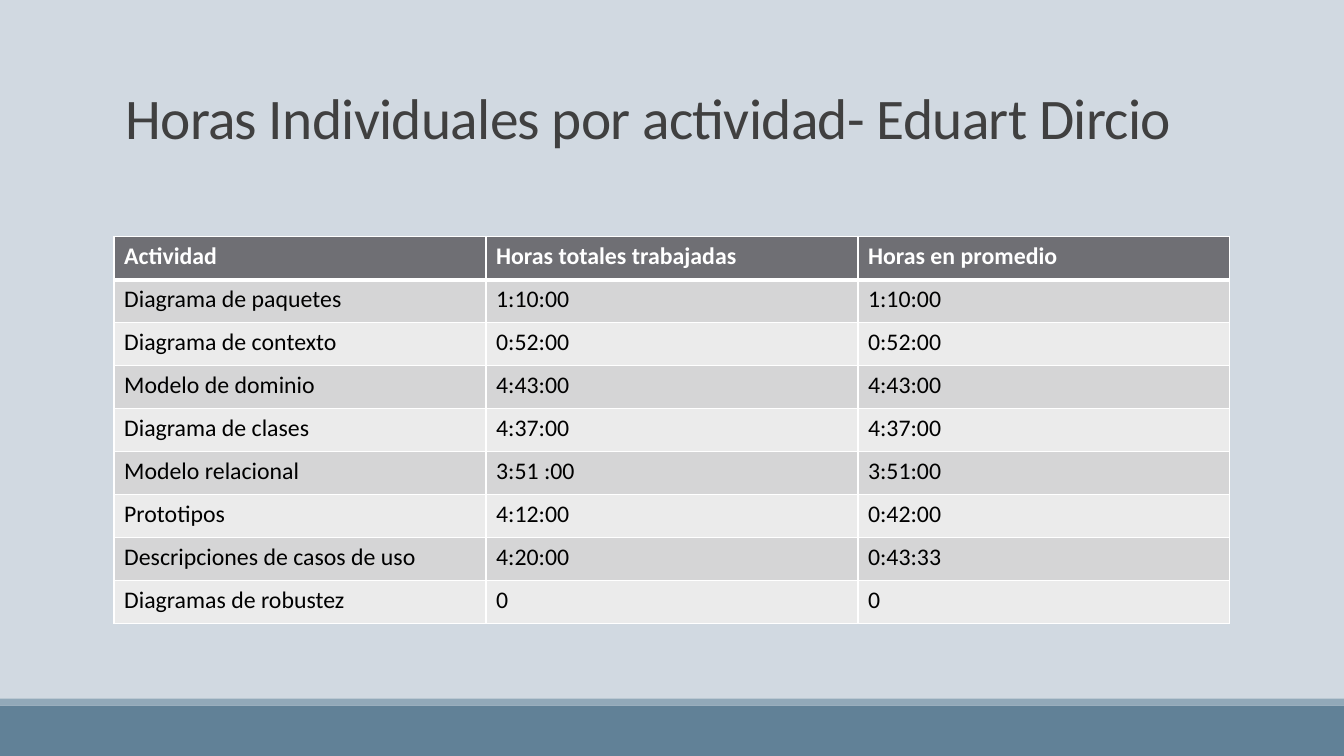
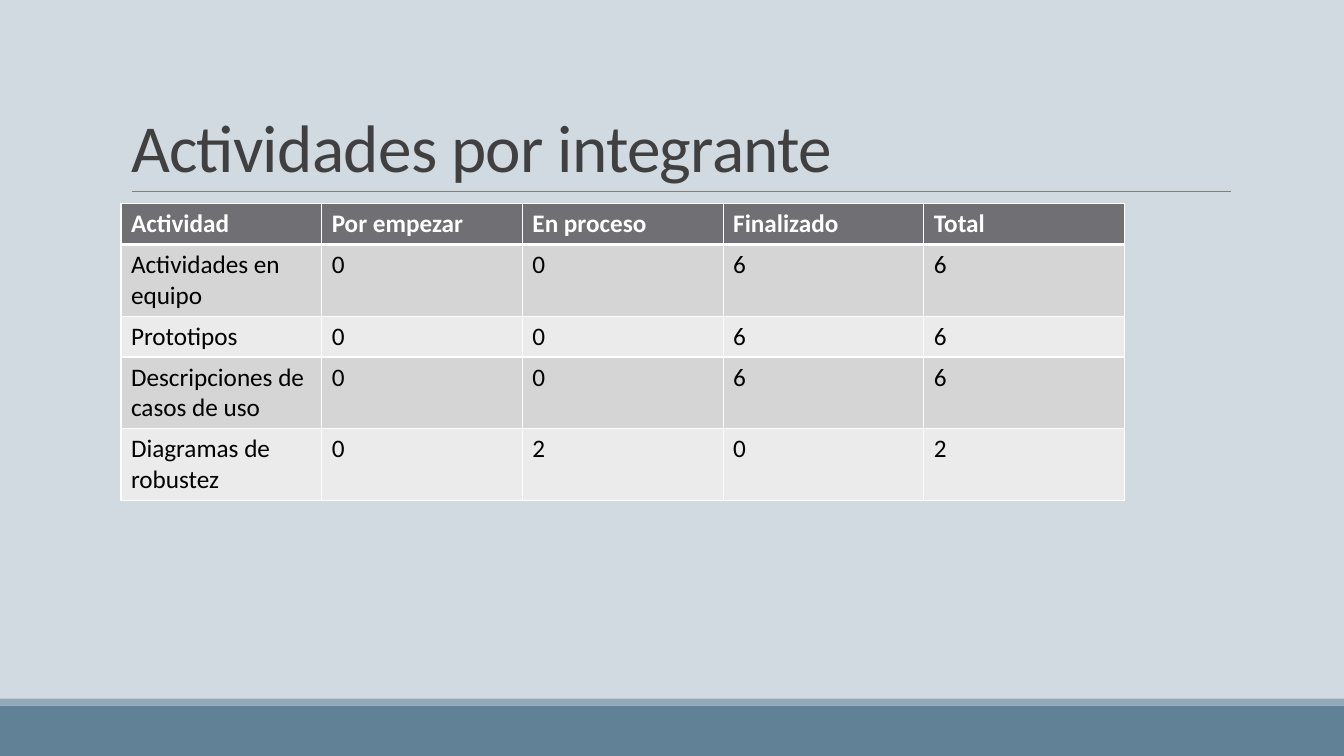
from lxml import etree
from pptx import Presentation
from pptx.dml.color import RGBColor
from pptx.enum.shapes import MSO_CONNECTOR as Connector, MSO_SHAPE as Shape
from pptx.enum.text import MSO_ANCHOR as Anchor, MSO_AUTO_SIZE as AutoSize, PP_ALIGN as Align
from pptx.oxml.ns import qn
from pptx.util import Pt

COLORS = {
    "background": "D1D9E1",
    "footer": "618197",
    "stripe": "92A9B9",
    "title": "404040",
    "rule": "808080",
    "header": "6F6F74",
    "odd": "D5D5D6",
    "even": "EBEBEB",
    "white": "FFFFFF",
    "black": "000000",
}
FONT = "Calibri"
WIDTH, HEIGHT = 960, 540

HOURS = [
    ("Actividad", "Horas totales trabajadas", "Horas en promedio"),
    ("Diagrama de paquetes", "1:10:00", "1:10:00"),
    ("Diagrama de contexto", "0:52:00", "0:52:00"),
    ("Modelo de dominio", "4:43:00", "4:43:00"),
    ("Diagrama de clases", "4:37:00", "4:37:00"),
    ("Modelo relacional", "3:51 :00", "3:51:00"),
    ("Prototipos", "4:12:00", "0:42:00"),
    ("Descripciones de casos de uso", "4:20:00", "0:43:33"),
    ("Diagramas de robustez", "0", "0"),
]
PROGRESS = [
    ("Actividad", "Por empezar", "En proceso", "Finalizado", "Total"),
    ("Actividades en equipo", "0", "0", "6", "6"),
    ("Prototipos", "0", "0", "6", "6"),
    ("Descripciones de casos de uso", "0", "0", "6", "6"),
    ("Diagramas de robustez", "0", "2", "0", "2"),
]


def rgb(name):
    """Return the palette colour with this name."""
    return RGBColor.from_string(COLORS[name])


def write(frame, text, size, color, bold=False, align=Align.LEFT, line_spacing=None, tracking=None):
    """Put one formatted paragraph into a text frame."""
    paragraph = frame.paragraphs[0]
    paragraph.alignment = align
    if line_spacing:
        paragraph.line_spacing = line_spacing
    run = paragraph.add_run()
    run.text = text
    run.font.name = FONT
    run.font.size = Pt(size)
    run.font.bold = bold
    run.font.color.rgb = rgb(color)
    if tracking:
        run.font._element.set("spc", str(round(tracking * 100)))


def add_band(slide, top, height, color):
    """Draw a plain band across the whole slide."""
    band = slide.shapes.add_shape(Shape.RECTANGLE, 0, Pt(top), Pt(WIDTH), Pt(height))
    band.shadow.inherit = False
    band.fill.solid()
    band.fill.fore_color.rgb = rgb(color)
    band.line.fill.background()


def add_title(slide, text, box, size, anchor, align=Align.LEFT):
    """Move the title placeholder into its box and fill it."""
    title = slide.shapes.title
    title.left, title.top, title.width, title.height = map(Pt, box)
    frame = title.text_frame
    frame.word_wrap = True
    frame.auto_size = AutoSize.NONE
    frame.vertical_anchor = anchor
    write(frame, text, size, "title", align=align, line_spacing=0.85, tracking=-0.5)


def add_rule(slide, left, right, top):
    """Draw the thin line under a title."""
    rule = slide.shapes.add_connector(Connector.STRAIGHT, Pt(left), Pt(top), Pt(right), Pt(top))
    rule.line.color.rgb = rgb("rule")
    rule.line.width = Pt(0.5)
    etree.SubElement(rule._element.spPr, qn("a:effectLst"))


def add_borders(cell, top, bottom):
    """Give a cell white borders with these top and bottom widths."""
    properties = cell._tc.get_or_add_tcPr()
    for side, width in (("L", 1), ("R", 1), ("T", top), ("B", bottom)):
        border = etree.SubElement(properties, qn(f"a:ln{side}"), w=str(Pt(width)))
        fill = etree.SubElement(border, qn("a:solidFill"))
        etree.SubElement(fill, qn("a:srgbClr"), val=COLORS["white"])


def add_grid(slide, rows, box, size):
    """Build a banded table of equal rows and columns inside its box."""
    left, top, width, height = box
    grid = slide.shapes.add_table(len(rows), len(rows[0]), *map(Pt, box)).table
    grid.horz_banding = False
    for column in grid.columns:
        column.width = Pt(width / len(rows[0]))
    for row in grid.rows:
        row.height = Pt(height / len(rows))
    for i, values in enumerate(rows):
        is_header = i == 0
        shade = "header" if is_header else "odd" if i % 2 else "even"
        for j, value in enumerate(values):
            cell = grid.cell(i, j)
            add_borders(cell, top=3 if i == 1 else 1, bottom=3 if is_header else 1)
            cell.fill.solid()
            cell.fill.fore_color.rgb = rgb(shade)
            write(cell.text_frame, value, size, "white" if is_header else "black", bold=is_header)


def add_base(deck):
    """Add a title-only slide with the shared footer bands."""
    slide = deck.slides.add_slide(deck.slide_layouts[5])
    add_band(slide, 504, 36, "footer")
    add_band(slide, 499, 5, "stripe")
    return slide


def add_hours_slide(deck):
    """Build the slide of hours by activity."""
    slide = add_base(deck)
    add_title(slide, "Horas Individuales por actividad- Eduart Dircio",
              (67, 40.5, 792, 93.5), 41, Anchor.MIDDLE, Align.CENTER)
    add_grid(slide, HOURS, (81.5, 169.2, 797, 276.5), 17)


def add_progress_slide(deck):
    """Build the slide of activities by member."""
    slide = add_base(deck)
    add_rule(slide, 94, 879, 136.5)
    add_title(slide, "Actividades por integrante", (86.4, 22.5, 792, 114.2), 48, Anchor.BOTTOM)
    add_grid(slide, PROGRESS, (86.4, 145.5, 717, 146), 18)


def main():
    """Build and save the presentation."""
    deck = Presentation()
    deck.slide_width, deck.slide_height = Pt(WIDTH), Pt(HEIGHT)
    backdrop = deck.slide_master.background.fill
    backdrop.solid()
    backdrop.fore_color.rgb = rgb("background")
    add_hours_slide(deck)
    add_progress_slide(deck)
    deck.save("out.pptx")


if __name__ == "__main__":
    main()
